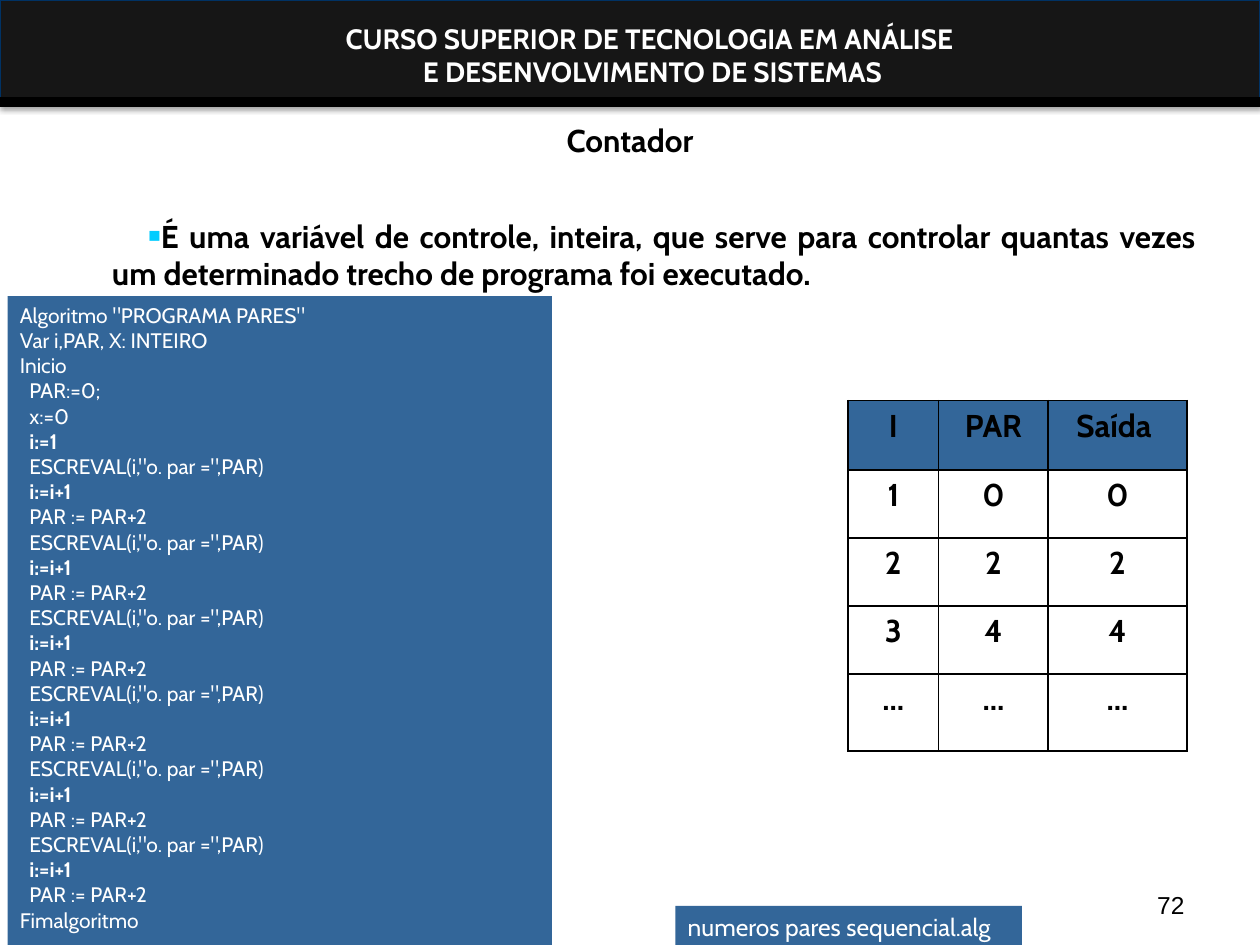
import pptx
import pptx.util
import pptx.dml.color
import pptx.enum.shapes
import pptx.enum.text
import pptx.oxml
import pptx.oxml.ns

Inches, Pt = pptx.util.Inches, pptx.util.Pt
ALIGN = pptx.enum.text.PP_ALIGN
ANCHOR = pptx.enum.text.MSO_ANCHOR
RECTANGLE = pptx.enum.shapes.MSO_SHAPE.RECTANGLE

# Content
COLORS = {"band": "161616", "edge": "003264", "black": "000000",
          "white": "FFFFFF", "panel": "336699", "bullet": "00CCFF"}
COURSE = ["CURSO SUPERIOR DE TECNOLOGIA EM ANÁLISE ",
          "E DESENVOLVIMENTO DE SISTEMAS"]
TITLE = "Contador"
DEFINITION = ("É uma variável de controle, inteira, que serve para controlar "
              "quantas vezes um determinado trecho de programa foi executado. ")
COUNT = "  i:=i+1"
ADD = "  PAR := PAR+2"
PRINT = '  ESCREVAL(i,"o. par =",PAR)'
START = "  i:=1"
CODE = (['Algoritmo "PROGRAMA PARES"', "Var i,PAR, X: INTEIRO", "Inicio",
         "  PAR:=0;", "  x:=0", START]
        + [PRINT, COUNT, ADD] * 6 + ["Fimalgoritmo"])
FILE_NAME = "numeros pares sequencial.alg"
PAGE_NUMBER = "72"
TRACE = [("I", "PAR", "Saída "), ("1", "0", "0"), ("2", "2", "2"),
         ("3", "4", "4"), ("...", "...", "...")]
COLUMNS = [0.72, 0.87, 1.1]
ROWS = [0.55, 0.54, 0.54, 0.54, 0.61]
WIDTH, HEIGHT = 10, 7.5


def color(name):
    return pptx.dml.color.RGBColor.from_string(COLORS[name])


def element(xml):
    space = pptx.oxml.ns.nsdecls("a")
    return pptx.oxml.parse_xml(xml.replace(" NS", " " + space, 1))


def write(frame, lines, size, ink="black", bold=False, align=ALIGN.LEFT,
          font="Cabin", anchor=ANCHOR.TOP):
    frame.text = "\n".join(lines)
    frame.word_wrap = True
    frame.auto_size = pptx.enum.text.MSO_AUTO_SIZE.NONE
    frame.vertical_anchor = anchor
    format_text(frame, size, ink, bold, align, font)


def format_text(frame, size, ink, bold, align, font="Cabin"):
    for para in frame.paragraphs:
        para.alignment = align
        for span in para.runs:
            span.font.name, span.font.size = font, Pt(size)
            span.font.bold = bold
            span.font.color.rgb = color(ink)


def add_text(page, area, lines, size, **style):
    box = page.shapes.add_textbox(*map(Inches, area))
    write(box.text_frame, lines, size, **style)
    return box


def add_panel(page, area, fill):
    panel = page.shapes.add_shape(RECTANGLE, *map(Inches, area))
    panel.shadow.inherit = False
    panel.fill.solid()
    panel.fill.fore_color.rgb = color(fill)
    panel.line.fill.background()
    return panel


def add_header(page):
    band = add_panel(page, (0, 0, WIDTH, 0.84), "band")
    band.line.color.rgb = color("edge")
    band.line.width = Pt(0.75)
    effects = band._element.spPr.find(pptx.oxml.ns.qn("a:effectLst"))
    effects.append(element(
        f'<a:outerShdw NS blurRad="{Pt(3.1)}" dist="{Pt(1.8)}" dir="5400000">'
        f'<a:srgbClr val="{COLORS["black"]}"><a:alpha val="35000"/></a:srgbClr>'
        '</a:outerShdw>'))
    add_text(page, (1.3, 0.12, 7.76, 0.64), COURSE, 16,
             ink="white", bold=True, align=ALIGN.CENTER)
    rule = page.shapes.add_connector(
        pptx.enum.shapes.MSO_CONNECTOR.STRAIGHT,
        0, Inches(0.81), Inches(WIDTH), Inches(0.81))
    rule.line.color.rgb = color("black")
    rule.line.width = Pt(6)
    rule._element.spPr.append(element("<a:effectLst NS/>"))


def add_definition(page):
    box = add_text(page, (0.59, 1.67, 9, 0.7), [DEFINITION], 18,
                   bold=True, align=ALIGN.JUSTIFY)
    layout = box.text_frame.paragraphs[0]._p.get_or_add_pPr()
    layout.set("marL", str(Inches(0.2)))
    layout.set("indent", str(Inches(0.29)))
    for xml in (f'<a:buClr NS><a:srgbClr val="{COLORS["bullet"]}"/></a:buClr>',
                '<a:buSzPct NS val="65000"/>',
                '<a:buFont NS typeface="Arial"/>',
                '<a:buChar NS char="■"/>'):
        layout.append(element(xml))


def add_trace(page):
    table = page.shapes.add_table(
        len(ROWS), len(COLUMNS), Inches(6.73), Inches(3.18),
        Inches(sum(COLUMNS)), Inches(sum(ROWS))).table
    table.first_row = table.horz_banding = False
    for column, width in zip(table.columns, COLUMNS):
        column.width = Inches(width)
    for row, height in zip(table.rows, ROWS):
        row.height = Inches(height)
    for r, values in enumerate(TRACE):
        for c, value in enumerate(values):
            cell = table.cell(r, c)
            cell.text = value
            format_text(cell.text_frame, 18, "black", True, ALIGN.CENTER)
            if r == 0:
                cell.fill.solid()
                cell.fill.fore_color.rgb = color("panel")
            else:
                cell.fill.background()
            # Borders come before the fill in the cell's properties
            for place, side in enumerate(("lnL", "lnR", "lnT", "lnB")):
                cell._tc.get_or_add_tcPr().insert(place, element(
                    f'<a:{side} NS w="{Pt(1)}"><a:solidFill><a:srgbClr '
                    f'val="{COLORS["black"]}"/></a:solidFill></a:{side}>'))


def add_code(page):
    panel = add_panel(page, (0.06, 2.35, 4.32, HEIGHT - 2.35), "panel")
    write(panel.text_frame, CODE, 12, ink="white")
    for para in panel.text_frame.paragraphs:
        if para.text in (START, COUNT):
            para.runs[0].font.bold = True


def main():
    deck = pptx.Presentation()
    deck.slide_width, deck.slide_height = Inches(WIDTH), Inches(HEIGHT)
    page = deck.slides.add_slide(deck.slide_layouts.get_by_name("Title Only"))
    add_header(page)

    # Title
    title = page.shapes.title
    title.left, title.top, title.width, title.height = map(
        Inches, (0, 0.91, WIDTH, 0.4))
    write(title.text_frame, [TITLE], 18, bold=True, align=ALIGN.CENTER)

    # Body
    add_definition(page)
    add_trace(page)
    add_code(page)

    # File name and page number
    label = add_panel(page, (5.36, 7.19, 2.75, HEIGHT - 7.19), "panel")
    write(label.text_frame, [FILE_NAME], 14, ink="white")
    add_text(page, (7.17, 6.83, 2.33, 0.52), [PAGE_NUMBER], 14,
             align=ALIGN.RIGHT, font="Arial", anchor=ANCHOR.BOTTOM)
    deck.save("out.pptx")


if __name__ == "__main__":
    main()
